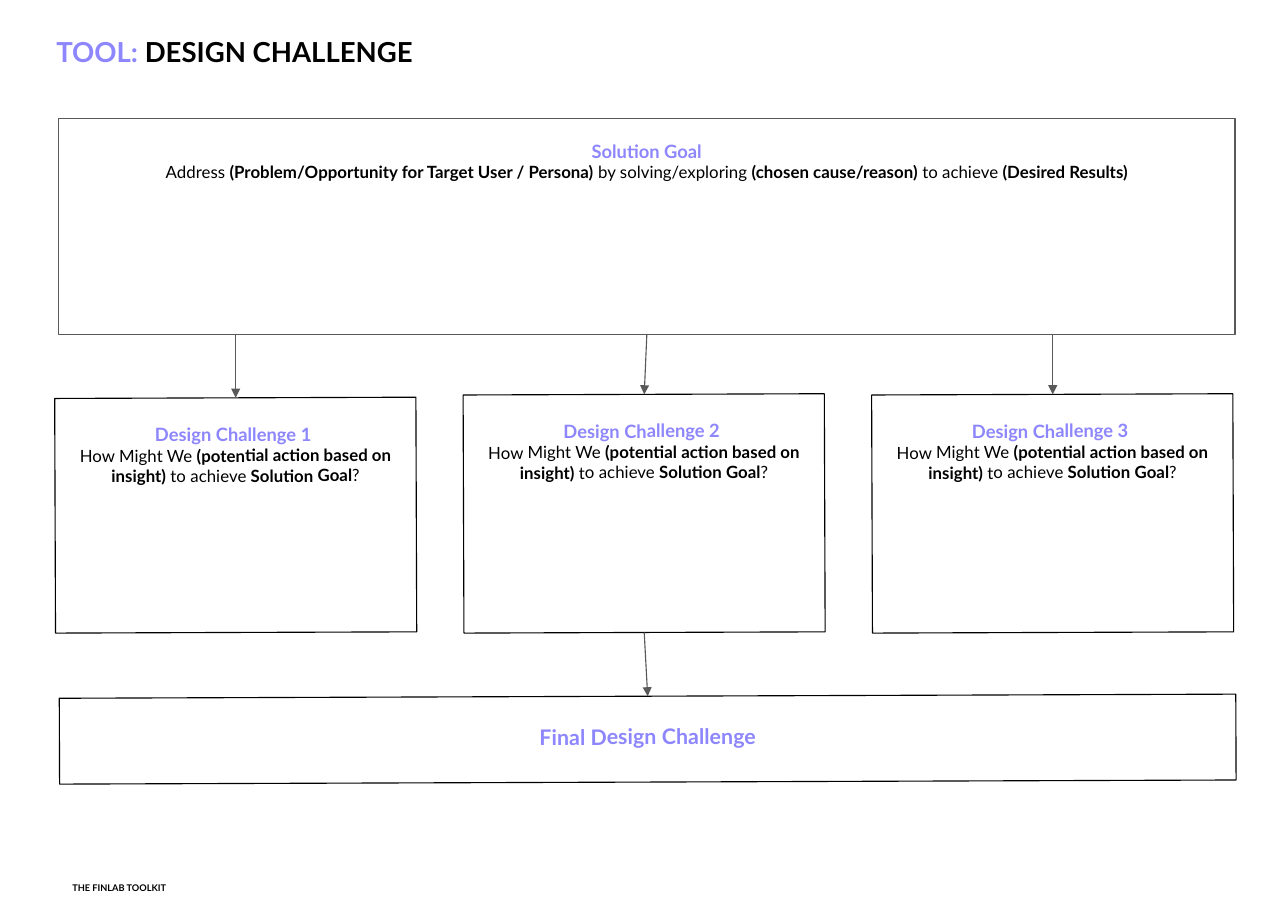
"""Builds the Design Challenge worksheet slide."""
from lxml import etree
from pptx import Presentation
from pptx import util as u
from pptx.dml import color
from pptx.enum import shapes, text
from pptx.oxml import ns

HUES = {"accent": "8D86FC", "ink": "000000", "rule": "595959", "paper": "FFFFFF"}
FONT = "Lato"
TILT = 359.8
GOAL = ("Address *(Problem/Opportunity for Target User / Persona)* by solving/exploring "
        "*(chosen cause/reason)* to achieve *(Desired Results)*")
ASK = "How Might We *(potential action based on insight)* to achieve *Solution Goal*?"


def rgb(name):
    return color.RGBColor.from_string(HUES[name])


def write(par, words, size=11, hue="ink", bold=False, align=text.PP_ALIGN.CENTER, space=1.0):
    """Fill a paragraph, switching bold at every asterisk."""
    par.alignment, par.line_spacing = align, space
    for i, part in enumerate(words.split("*")):
        if part:
            run = par.add_run()
            run.text = part
            font = run.font
            font.name, font.size = FONT, u.Pt(size)
            font.bold = bold or i % 2 == 1
            font.color.rgb = rgb(hue)


def frame(shape, inset, anchor, top=None):
    """Set wrap, margins and anchor, and return the first paragraph."""
    area = shape.text_frame
    area.word_wrap, area.vertical_anchor = True, anchor
    area.margin_left = area.margin_right = area.margin_bottom = u.Cm(inset)
    area.margin_top = u.Cm(inset if top is None else top)
    return area.paragraphs[0]


def panel(slide, box, head, body=None, size=12, edge="ink", turn=TILT, inset=0.33, top=None):
    """Draw an outlined box with a heading and an optional prompt."""
    rect = slide.shapes.add_shape(shapes.MSO_SHAPE.RECTANGLE, *map(u.Cm, box))
    rect.shadow.inherit = False
    rect.rotation = turn
    rect.fill.solid()
    rect.fill.fore_color.rgb = rgb("paper")
    rect.line.color.rgb = rgb(edge)
    rect.line.width = u.Pt(0.75)
    first = frame(rect, inset, text.MSO_ANCHOR.TOP, top)
    write(first, head, size, "accent", True, space=1.5)
    if body:
        write(rect.text_frame.add_paragraph(), body)
    return rect


def label(slide, box, parts, size, inset):
    """Place a bold left-aligned line made of (words, hue) parts."""
    note = slide.shapes.add_textbox(*map(u.Cm, box))
    par = frame(note, inset, text.MSO_ANCHOR.BOTTOM)
    for words, hue in parts:
        write(par, words, size, hue, True, text.PP_ALIGN.LEFT)


def arrow(slide, start, end):
    """Draw an arrow straight down between the facing sides of two boxes."""
    slim = min(start, end, key=lambda box: box.width)
    mid = slim.left + slim.width // 2
    line = slide.shapes.add_connector(
        shapes.MSO_CONNECTOR.STRAIGHT, mid, start.top + start.height, mid, end.top)
    line.line.color.rgb = rgb("rule")
    line.line.width = u.Pt(0.75)
    etree.SubElement(line.line._get_or_add_ln(), ns.qn("a:tailEnd"), type="triangle")
    etree.SubElement(line._element.spPr, ns.qn("a:effectLst"))
    for box, join, site in ((start, line.begin_connect, 2), (end, line.end_connect, 0)):
        if abs(box.left + box.width // 2 - mid) < u.Cm(0.1):
            join(box, site)


def cards(slide, left, top, width, height, gap):
    """Lay out three challenge boxes in a row; the first sits a little lower."""
    row = []
    for i in range(3):
        drop = 0.08 if i == 0 else 0
        box = (left + i * (width + gap), top + drop, width, height - drop)
        row.append(panel(slide, box, f"Design Challenge {i + 1} ", ASK))
    return row


def main():
    """Build and save the slide."""
    deck = Presentation()
    deck.slide_width, deck.slide_height = u.Cm(29.7), u.Cm(21)
    slide = deck.slides.add_slide(deck.slide_layouts[6])
    label(slide, (0.97, 0.81, 13.69, 1.09),
          [("TOOL:", "accent"), (" DESIGN CHALLENGE", "ink")], 18, 0.33)
    goal = panel(slide, (1.35, 2.74, 27.13, 4.98), "Solution Goal", GOAL,
                 edge="rule", turn=0, inset=0.25, top=0.23)
    row = cards(slide, 1.27, 9.09, 8.33, 5.49, 1.09)
    final = panel(slide, (1.37, 16.05, 27.13, 1.98), "Final Design Challenge", size=14)
    for card in row:
        arrow(slide, goal, card)
    arrow(slide, row[1], final)
    label(slide, (1.42, 19.99, 11.71, 0.74), [("THE FINLAB TOOLKIT", "ink")], 6, 0.25)
    deck.save("out.pptx")


if __name__ == "__main__":
    main()
